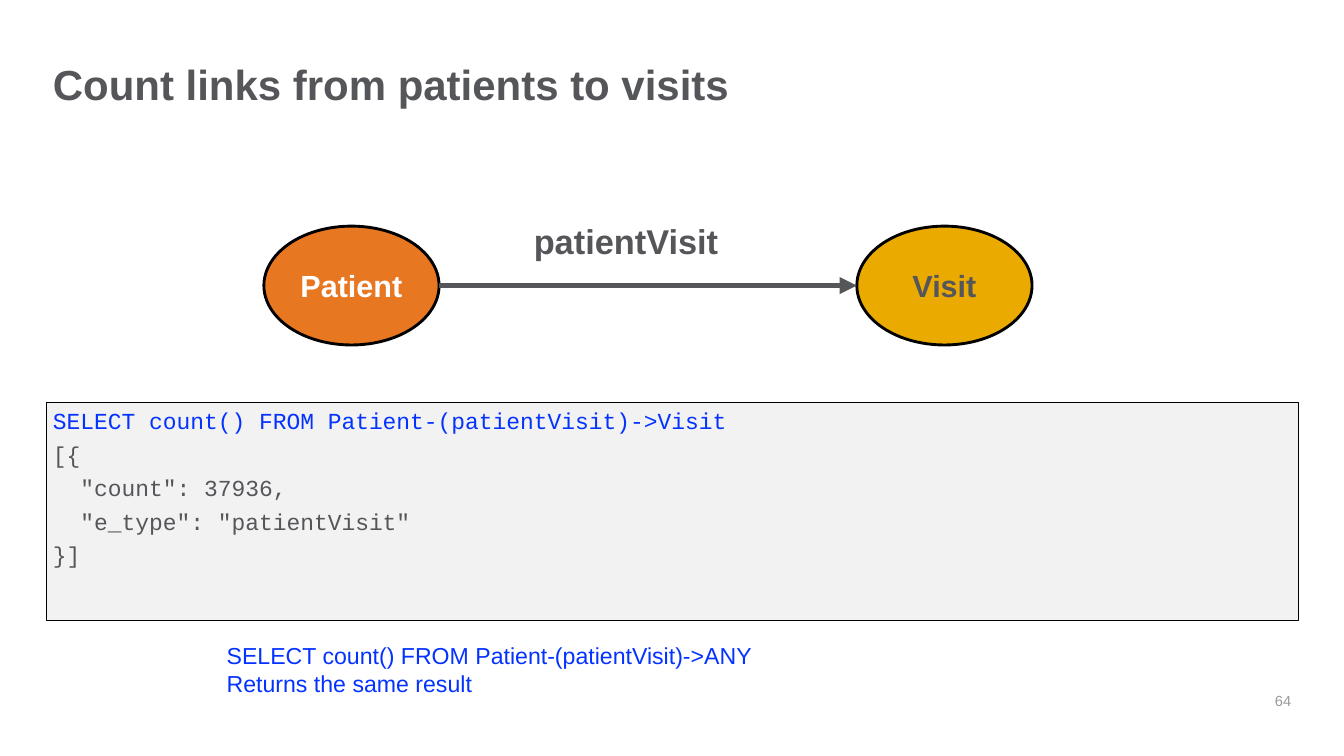
from lxml.etree import SubElement
from pptx import Presentation
from pptx.dml.color import RGBColor
from pptx.enum.shapes import MSO_CONNECTOR, MSO_SHAPE
from pptx.enum.text import MSO_ANCHOR, PP_ALIGN
from pptx.oxml.ns import qn
from pptx.util import Inches, Pt

GRAY, BLUE, BLACK, WHITE = "55565A", "0432FF", "000000", "FFFFFF"
CODE = [
    ("SELECT count() FROM Patient-(patientVisit)->Visit", BLUE),
    ("[{", GRAY),
    ('  "count": 37936,', GRAY),
    ('  "e_type": "patientVisit"', GRAY),
    ("}]", GRAY),
]


def rgb(value):
    return RGBColor.from_string(value)


def apply(target, **values):
    for name, value in values.items():
        setattr(target, name, value)


class SlideBuilder:
    def __init__(self, slide, font="Arial", code_font="Courier New"):
        self.slide = slide
        self.font = font
        self.code_font = code_font

    def fill_text(self, shape, lines, size, font=None, bold=False,
                  anchor=MSO_ANCHOR.TOP, wrap=True, inset=None, **paragraph_format):
        """Fill a shape with (text, colour) lines, one paragraph each."""
        frame = shape.text_frame
        apply(frame, word_wrap=wrap, vertical_anchor=anchor)
        if inset is not None:
            for side in ("left", "top", "right", "bottom"):
                setattr(frame, f"margin_{side}", Inches(inset))
        for index, (text, color) in enumerate(lines):
            paragraph = frame.add_paragraph() if index else frame.paragraphs[0]
            apply(paragraph, **paragraph_format)
            run = paragraph.add_run()
            run.text = text
            apply(run.font, name=font or self.font, size=Pt(size), bold=bold)
            run.font.color.rgb = rgb(color)

    def title(self, text, left, top, width, height):
        title = self.slide.shapes.title
        apply(title, left=Inches(left), top=Inches(top),
              width=Inches(width), height=Inches(height))
        self.fill_text(title, [(text, GRAY)], 44, bold=True, inset=0.1,
                       alignment=PP_ALIGN.LEFT, line_spacing=0.9)

    def shape(self, kind, box, fill, line_width):
        shape = self.slide.shapes.add_shape(kind, *map(Inches, box))
        shape.shadow.inherit = False
        shape.fill.solid()
        shape.fill.fore_color.rgb = rgb(fill)
        shape.line.color.rgb = rgb(BLACK)
        shape.line.width = Pt(line_width)
        return shape

    def vertex(self, text, box, fill, color):
        ellipse = self.shape(MSO_SHAPE.OVAL, box, fill, 3)
        self.fill_text(ellipse, [(text, color)], 32, bold=True,
                       anchor=MSO_ANCHOR.MIDDLE, alignment=PP_ALIGN.CENTER)

    def code(self, lines, box):
        panel = self.shape(MSO_SHAPE.RECTANGLE, box, "F2F2F2", 0.75)
        self.fill_text(panel, lines, 24, font=self.code_font, inset=0.1,
                       alignment=PP_ALIGN.LEFT, line_spacing=0.95,
                       space_after=Pt(7.7))

    def text(self, lines, box, size, **text_format):
        text_box = self.slide.shapes.add_textbox(*map(Inches, box))
        self.fill_text(text_box, lines, size, **text_format)

    def arrow(self, start, end, color, width):
        connector = self.slide.shapes.add_connector(
            MSO_CONNECTOR.STRAIGHT, *map(Inches, start + end))
        connector.line.color.rgb = rgb(color)
        connector.line.width = Pt(width)
        properties = connector._element.spPr
        SubElement(properties.find(qn("a:ln")), qn("a:tailEnd"), type="triangle")
        SubElement(properties, qn("a:effectLst"))


def main():
    presentation = Presentation()
    presentation.slide_width = Inches(19.56)
    presentation.slide_height = Inches(11)
    builder = SlideBuilder(presentation.slides.add_slide(presentation.slide_layouts[5]))

    left, width = 0.67, 18.22
    builder.title("Count links from patients to visits", left, 0.84, width, 0.89)
    builder.code(CODE, (left, 5.85, width, 3.18))
    builder.text([("64", "999A9B")], (17.72, 9.77, 1.17, 0.84), 15.3, inset=0.1,
                 anchor=MSO_ANCHOR.MIDDLE, alignment=PP_ALIGN.RIGHT)

    patient_left, visit_left, vertex_top = 3.84, 12.47, 3.29
    vertex_width, vertex_height = 2.55, 1.73
    builder.vertex("Patient", (patient_left, vertex_top, vertex_width, vertex_height),
                   "E87722", WHITE)
    builder.vertex("Visit", (visit_left, vertex_top, vertex_width, vertex_height),
                   "EAAA00", GRAY)
    middle = vertex_top + vertex_height / 2
    builder.arrow((patient_left + vertex_width, middle), (visit_left, middle), GRAY, 6)
    builder.text([("patientVisit", GRAY)], (7.67, 3.15, 2.91, 0.71), 36,
                 bold=True, wrap=False)

    builder.text([("SELECT count() FROM Patient-(patientVisit)->ANY", BLUE),
                  ("Returns the same result", BLUE)], (3.2, 9.29, 11.02, 1.32), 24.2)
    presentation.save("out.pptx")


if __name__ == "__main__":
    main()
